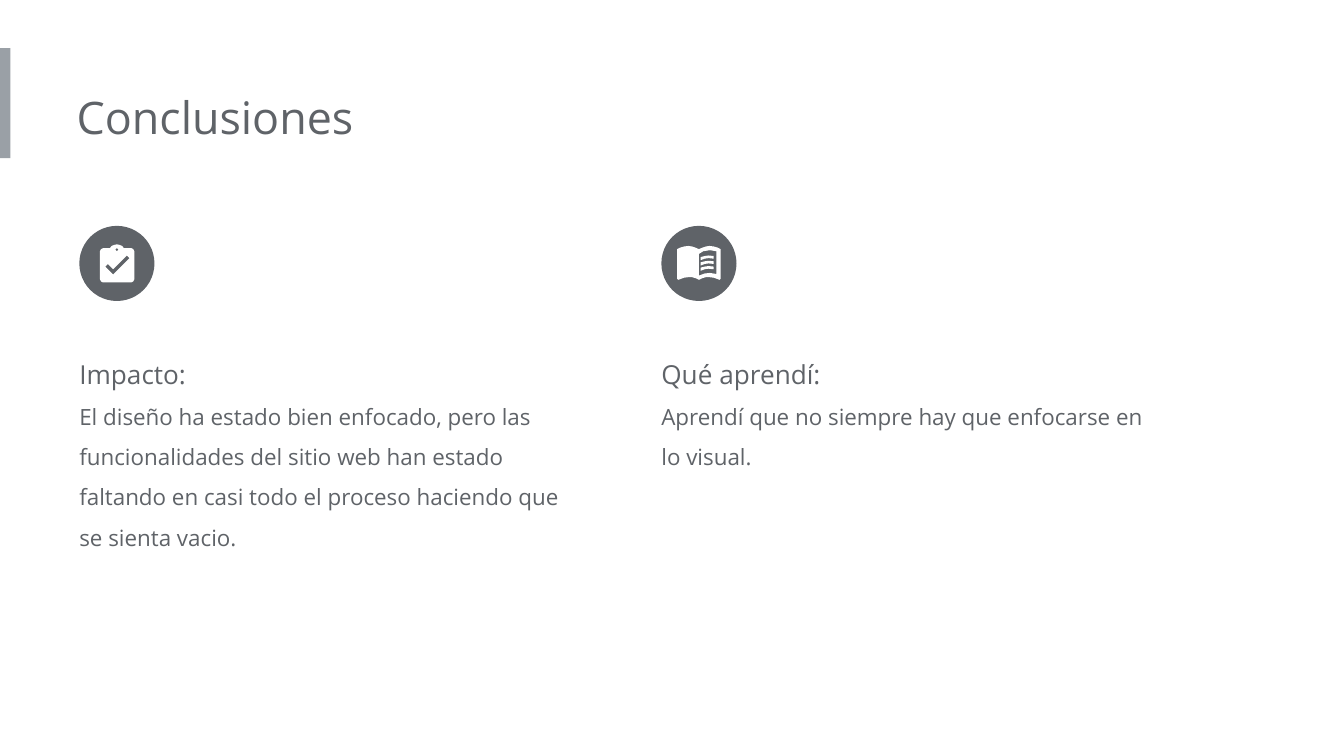
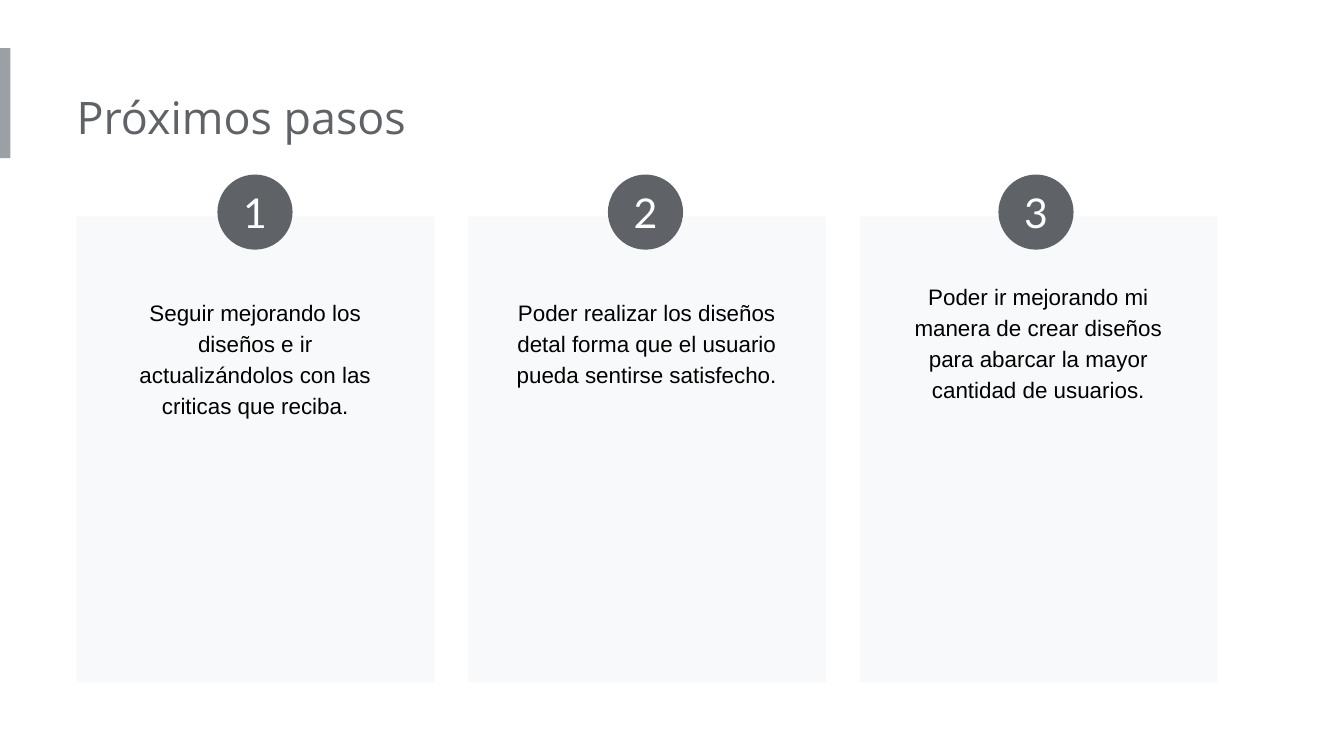
import pptx
import pptx.util
import pptx.dml.color
import pptx.enum.shapes
import pptx.enum.text

Cm = pptx.util.Cm
Pt = pptx.util.Pt
SHAPE = pptx.enum.shapes.MSO_SHAPE
ALIGN = pptx.enum.text.PP_ALIGN

COLORS = {
    "band": "9AA0A6",
    "gray": "5F6368",
    "card": "F8F9FA",
    "white": "FFFFFF",
    "black": "000000",
}
BADGE = 1.42


def paint(sp, color):
    sp.shadow.inherit = False
    sp.fill.solid()
    sp.fill.fore_color.rgb = pptx.dml.color.RGBColor.from_string(COLORS[color])
    sp.line.fill.background()


def write(sp, lines, font, color, align=ALIGN.LEFT, spacing=None, left=0, inset=0.25):
    tf = sp.text_frame
    tf.word_wrap = True
    tf.margin_left = Cm(left)
    tf.margin_top = tf.margin_right = tf.margin_bottom = Cm(inset)
    for i, (text, size) in enumerate(lines):
        p = tf.add_paragraph() if i else tf.paragraphs[0]
        p.add_run().text = text
        p.alignment = align
        p.line_spacing = spacing
        p.font.size = Pt(size)
        p.font.name = font
        p.font.color.rgb = pptx.dml.color.RGBColor.from_string(COLORS[color])


prs = pptx.Presentation()
prs.slide_width = Cm(25.4)
prs.slide_height = Cm(14.29)

slides = []
for title in ["Conclusiones", "Próximos pasos"]:
    s = prs.slides.add_slide(prs.slide_layouts[6])
    band = s.shapes.add_shape(SHAPE.RECTANGLE, 0, Cm(0.91), Cm(0.2), Cm(2.08))
    paint(band, "band")
    sp = s.shapes.add_textbox(Cm(1.45), Cm(1.45), Cm(13.69), Cm(1.55))
    write(sp, [(title, 24)], "Open Sans", "gray")
    slides.append(s)

clipboard = [
    [(98, 42), (84, 42), (81, 38), (76, 36), (71, 35), (66, 36), (61, 38), (58, 42),
     (45, 42), (41, 44), (39, 48), (39, 101), (41, 105), (45, 107),
     (98, 107), (102, 105), (104, 101), (104, 48), (102, 44)],
    [(71, 42), (74, 45), (71, 48), (68, 45)],
    [(64, 92), (49, 77), (54, 72), (64, 82), (90, 56), (95, 61)],
]
half_cover = [(71, 44), (64, 41), (58, 39), (51, 38), (43, 39), (36, 41), (30, 44),
              (30, 100), (32, 102), (43, 98), (51, 97), (58, 97), (65, 99), (71, 102)]
cover = half_cover + [(142 - x, y) for x, y in reversed(half_cover)]
page = [(71, 53), (79, 48), (92, 46), (104, 48), (104, 91), (92, 89), (82, 90), (71, 94)]
text_line = [(74, 59), (82, 57), (89, 56), (99, 57), (99, 62), (89, 61), (82, 62), (74, 65)]
book_lines = [[[(x, y + 10 * i) for x, y in text_line]] for i in range(3)]

conclusions = [
    (1.5, 4.5, [clipboard], "Impacto:",
     "El diseño ha estado bien enfocado, pero las funcionalidades del sitio web "
     "han estado faltando en casi todo el proceso haciendo que se sienta vacio."),
    (12.5, 2.95, [[cover, page]] + book_lines, "Qué aprendí:",
     "Aprendí que no siempre hay que enfocarse en lo visual."),
]
s = slides[0]
for left, height, icon, heading, body in conclusions:
    sp = s.shapes.add_textbox(Cm(left), Cm(6.22), Cm(9.58), Cm(height))
    write(sp, [(heading, 14), (body, 12)], "Open Sans", "gray", spacing=1.5)
    badge = s.shapes.add_shape(SHAPE.OVAL, Cm(left), Cm(4.27), Cm(BADGE), Cm(BADGE))
    paint(badge, "gray")
    for outlines in icon:
        builder = s.shapes.build_freeform(*outlines[0][0], scale=Cm(0.01))
        for i, points in enumerate(outlines):
            if i:
                builder.move_to(*points[0])
            builder.add_line_segments(points[1:], close=True)
        paint(builder.convert_to_shape(Cm(left), Cm(4.27)), "white")

steps = [
    ("Seguir mejorando los diseños e ir actualizándolos con las criticas que reciba.", 5.33),
    ("Poder realizar los diseños detal forma que el usuario pueda sentirse satisfecho.", 5.33),
    ("Poder ir mejorando mi manera de crear diseños para abarcar la mayor cantidad de usuarios.", 5.03),
]
s = slides[1]
for i, (text, top) in enumerate(steps):
    left = 1.45 + 7.4 * i
    card = s.shapes.add_shape(SHAPE.RECTANGLE, Cm(left), Cm(4.09), Cm(6.76), Cm(8.81))
    paint(card, "card")
    sp = s.shapes.add_textbox(Cm(left + 0.53), Cm(top), Cm(5.69), Cm(2.3))
    write(sp, [(text, 12)], "Arial", "black", ALIGN.CENTER, 1.15, left=0.25)
    badge = s.shapes.add_shape(SHAPE.OVAL, Cm(4.11 + 7.38 * i), Cm(3.3), Cm(BADGE), Cm(BADGE))
    paint(badge, "gray")
    write(badge, [(str(i + 1), 22)], "Lato", "white", ALIGN.CENTER, inset=0)
    badge.text_frame.vertical_anchor = pptx.enum.text.MSO_ANCHOR.MIDDLE

prs.save("out.pptx")
